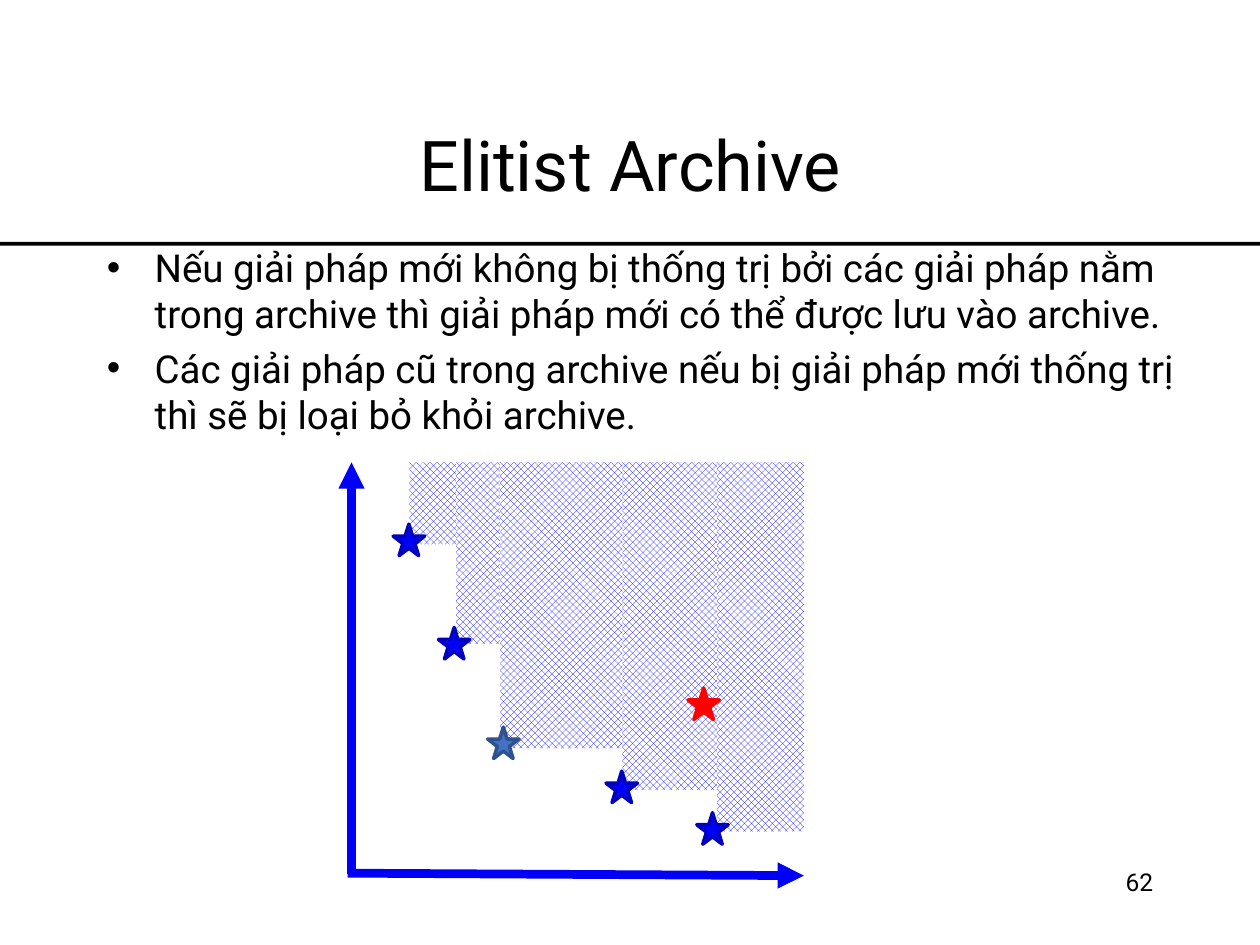
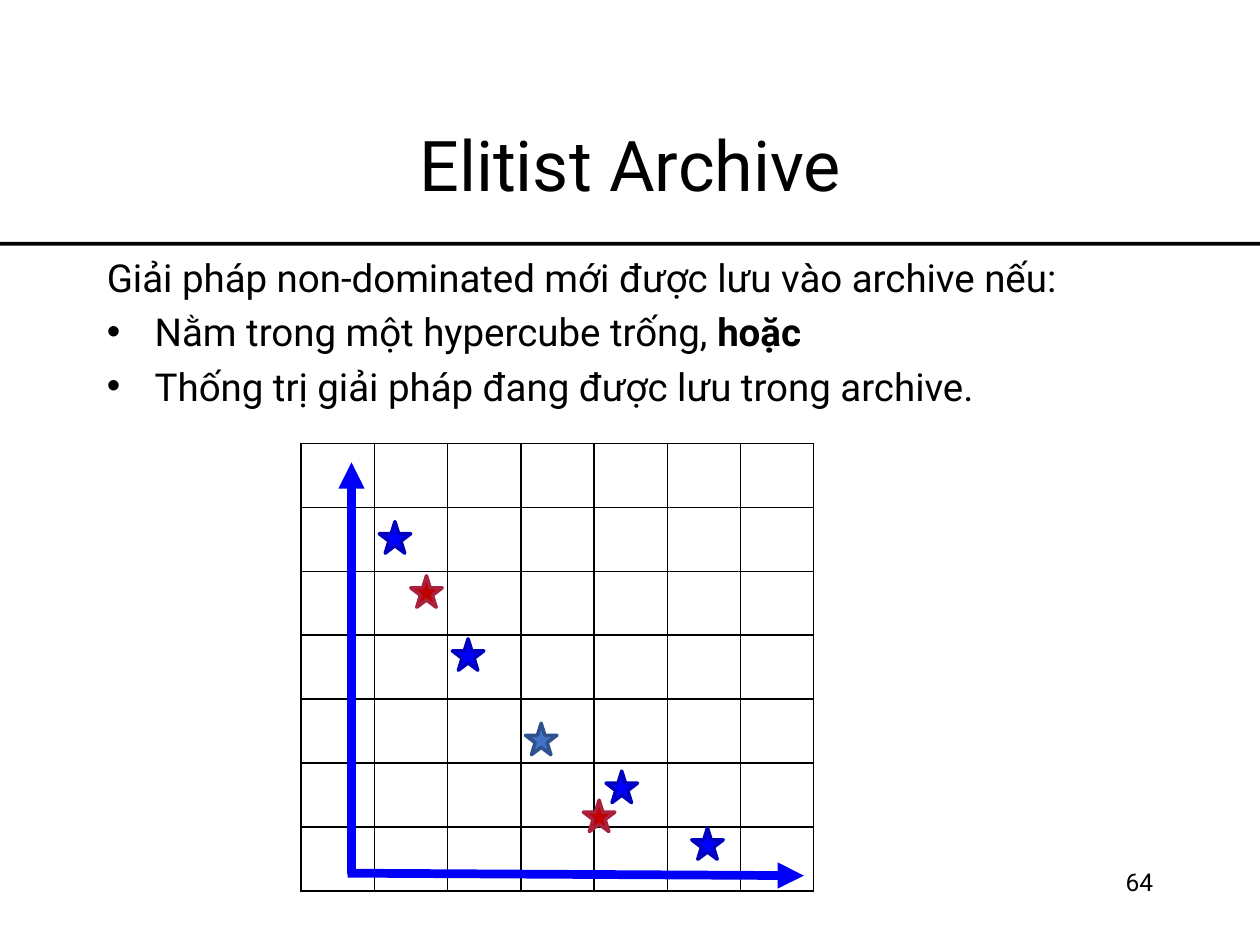
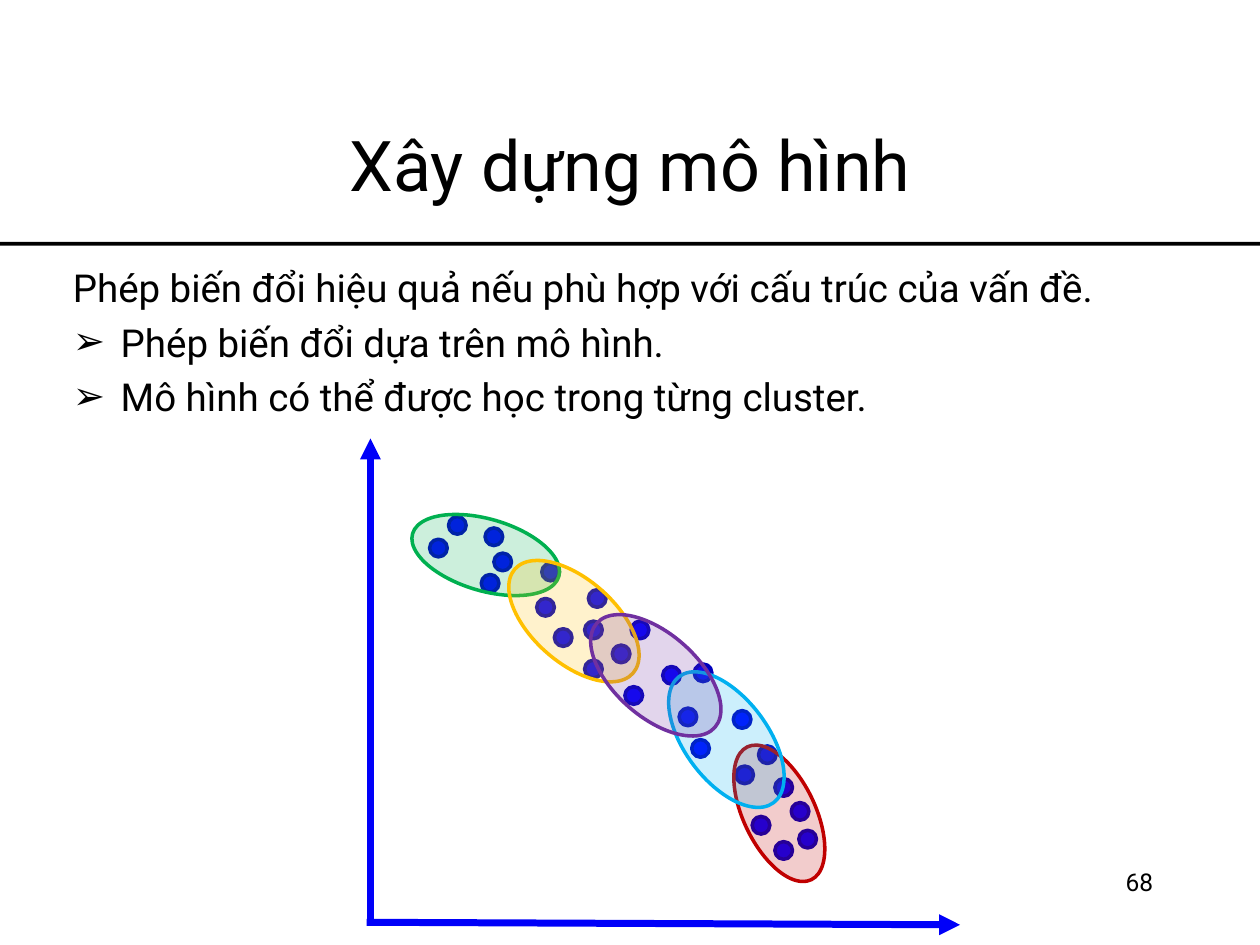
from collections import namedtuple

from lxml.etree import SubElement
from pptx import Presentation
from pptx.dml.color import RGBColor
from pptx.enum.dml import MSO_PATTERN
from pptx.enum.shapes import MSO_CONNECTOR, MSO_SHAPE
from pptx.enum.text import MSO_ANCHOR, PP_ALIGN
from pptx.oxml.ns import qn
from pptx.util import Inches, Pt

FONT = "Roboto"
BLACK = RGBColor(0x00, 0x00, 0x00)
WHITE = RGBColor(0xFF, 0xFF, 0xFF)
AXIS_BLUE = RGBColor(0x00, 0x00, 0xF9)
BLUE = RGBColor(0x00, 0x00, 0xFF)
DARK_BLUE = RGBColor(0x00, 0x00, 0xBD)
STEEL = RGBColor(0x43, 0x72, 0xC4)
DARK_STEEL = RGBColor(0x2F, 0x52, 0x8F)
RED = RGBColor(0xFF, 0x00, 0x00)
CRIMSON = RGBColor(0xC0, 0x00, 0x00)
DARK_CRIMSON = RGBColor(0xA9, 0x21, 0x3D)
GREEN = RGBColor(0x00, 0xB0, 0x50)
AMBER = RGBColor(0xFF, 0xC0, 0x00)
SKY = RGBColor(0x00, 0xB0, 0xF0)
PURPLE = RGBColor(0x70, 0x30, 0xA0)

KNOWN = (BLUE, DARK_BLUE)
NEIGHBOUR = (STEEL, DARK_STEEL)
DOMINATED = (RED, RED)
CANDIDATE = (CRIMSON, DARK_CRIMSON)

Box = namedtuple("Box", "left top width height")
TITLE_BOX = Box(0.75, 0.67, 8.5, 1.25)
RULE_BOX = Box(0, 1.92, 10, 0.03)
NUMBER_BOX = Box(7.17, 6.83, 2.08, 0.5)
ARCHIVE_PLOT = Box(2.79, 3.67, 3.59, 3.27)
CLUSTER_PLOT = Box(2.94, 3.48, 4.68, 3.85)

STAR_SIZE = 0.25
DOT_SIZE = 0.14
GRID_COUNT = 7
INDENT = 0.38

DOMINATED_STEPS = [(0.46, 0.65), (0.83, 1.44), (1.18, 2.27), (2.15, 2.6), (2.9, 2.93)]
FRONT_STARS = [
    (0.33, 0.49, KNOWN), (0.69, 1.31, KNOWN), (2.74, 2.78, KNOWN),
    (2.02, 2.45, KNOWN), (1.08, 2.1, NEIGHBOUR), (2.67, 1.79, DOMINATED),
]
HYPERCUBE_STARS = [
    (0.22, 0.47, KNOWN), (0.8, 1.4, KNOWN), (2.7, 2.9, KNOWN), (2.02, 2.45, KNOWN),
    (1.38, 2.07, NEIGHBOUR), (0.47, 0.9, CANDIDATE), (1.84, 2.68, CANDIDATE),
]
SOLUTION_DOTS = [
    (0.62, 0.62), (0.88, 1.08), (0.47, 0.8), (0.91, 0.71), (3.34, 2.89), (0.98, 0.91),
    (1.7, 1.45), (1.46, 1.51), (1.7, 1.76), (1.32, 1.27), (1.36, 0.99), (1.92, 1.64),
    (2.02, 1.97), (2.45, 2.14), (2.55, 2.39), (2.9, 2.6), (3.21, 2.7), (3.4, 3.11),
    (3.21, 3.2), (2.32, 1.81), (2.07, 1.45), (2.57, 1.79), (2.88, 2.16), (3.03, 3),
    (3.08, 2.44), (1.73, 1.2),
]
CLUSTERS = [
    (Box(0.31, 0.64, 1.21, 0.57), 16.3, GREEN),
    (Box(2.66, 2.69, 1.17, 0.57), 64.3, CRIMSON),
    (Box(0.99, 1.12, 1.25, 0.66), 41.4, AMBER),
    (Box(2.2, 2.06, 1.25, 0.66), 53.2, SKY),
    (Box(1.64, 1.55, 1.25, 0.66), 41.4, PURPLE),
]


def to_inches(box):
    return [Inches(value) for value in box]


def within(plot, left, top, width, height):
    return Box(plot.left + left, plot.top + top, width, height)


def add_run(paragraph, text, size, bold=False):
    run = paragraph.add_run()
    run.text = text
    run.font.name = FONT
    run.font.size = Pt(size)
    run.font.bold = bold
    run.font.color.rgb = BLACK


def add_preset(slide, preset, box, fill=None, line=None):
    shape = slide.shapes.add_shape(preset, *to_inches(box))
    shape.shadow.inherit = False
    if fill is not None:
        shape.fill.solid()
        shape.fill.fore_color.rgb = fill
    if line is None:
        shape.line.fill.background()
    else:
        shape.line.color.rgb = line
        shape.line.width = Pt(2)
    return shape


def add_frame(presentation, title, number):
    slide = presentation.slides.add_slide(presentation.slide_layouts[5])
    add_preset(slide, MSO_SHAPE.RECTANGLE, RULE_BOX, BLACK)

    heading = slide.shapes.title
    heading.left, heading.top, heading.width, heading.height = to_inches(TITLE_BOX)
    heading.text_frame.vertical_anchor = MSO_ANCHOR.MIDDLE
    paragraph = heading.text_frame.paragraphs[0]
    paragraph.alignment = PP_ALIGN.CENTER
    add_run(paragraph, title, 40)

    number_box = slide.shapes.add_textbox(*to_inches(NUMBER_BOX))
    number_box.text_frame.word_wrap = True
    paragraph = number_box.text_frame.paragraphs[0]
    paragraph.alignment = PP_ALIGN.RIGHT
    add_run(paragraph, str(number), 14)
    return slide


def add_body(slide, box, lines):
    frame = slide.shapes.add_textbox(*to_inches(box)).text_frame
    frame.word_wrap = True
    for index, (bullet, runs) in enumerate(lines):
        paragraph = frame.add_paragraph() if index else frame.paragraphs[0]
        if index:
            paragraph.space_before = Pt(4.5)
        if bullet:
            properties = paragraph._p.get_or_add_pPr()
            properties.set("marL", str(Inches(INDENT)))
            properties.set("indent", str(-Inches(INDENT)))
            SubElement(properties, qn("a:buFont"), typeface="Arial")
            SubElement(properties, qn("a:buChar"), char=bullet)
        for text, bold in runs:
            add_run(paragraph, text, 22, bold)


def add_arrow(slide, start, end, width):
    ends = [Inches(value) for value in (*start, *end)]
    arrow = slide.shapes.add_connector(MSO_CONNECTOR.STRAIGHT, *ends)
    arrow.line.color.rgb = AXIS_BLUE
    arrow.line.width = Pt(width)
    properties = arrow._element.spPr
    SubElement(properties.find(qn("a:ln")), qn("a:tailEnd"), type="triangle")
    SubElement(properties, qn("a:effectLst"))


def add_axes(slide, plot, width):
    right = plot.left + plot.width
    bottom = plot.top + plot.height
    add_arrow(slide, (plot.left, bottom), (plot.left, plot.top), width)
    add_arrow(slide, (plot.left - 0.03, bottom - 0.01), (right, bottom + 0.01), width)


def add_dominated_region(slide, plot):
    for left, height in DOMINATED_STEPS:
        box = within(plot, left, 0, plot.width - left, height)
        region = add_preset(slide, MSO_SHAPE.RECTANGLE, box)
        region.fill.patterned()
        region.fill.pattern = MSO_PATTERN.SOLID_DIAMOND
        region.fill.fore_color.rgb = BLUE
        region.fill.back_color.rgb = WHITE


def add_stars(slide, plot, stars):
    for left, top, (fill, line) in stars:
        box = within(plot, left, top, STAR_SIZE, STAR_SIZE)
        add_preset(slide, MSO_SHAPE.STAR_5_POINT, box, fill, line)


def border_cell(cell):
    cell.fill.background()
    properties = cell._tc.get_or_add_tcPr()
    for position, side in enumerate(("lnL", "lnR", "lnT", "lnB")):
        border = SubElement(properties, qn(f"a:{side}"), w=str(Pt(1)))
        fill = SubElement(border, qn("a:solidFill"))
        SubElement(fill, qn("a:srgbClr"), val=str(BLACK))
        properties.insert(position, border)


def add_hypercubes(slide, plot):
    box = within(plot, -0.4, -0.15, 4.07, 3.55)
    table = slide.shapes.add_table(GRID_COUNT, GRID_COUNT, *to_inches(box)).table
    table.first_row = False
    table.horz_banding = False
    for column in table.columns:
        column.width = Inches(box.width / GRID_COUNT)
    for row in table.rows:
        row.height = Inches(box.height / GRID_COUNT)
    for cell in table.iter_cells():
        border_cell(cell)


def add_clusters(slide, plot):
    for left, top in SOLUTION_DOTS:
        box = within(plot, left, top, DOT_SIZE, DOT_SIZE)
        add_preset(slide, MSO_SHAPE.OVAL, box, BLUE, DARK_BLUE)
    for box, angle, color in CLUSTERS:
        cluster = add_preset(slide, MSO_SHAPE.OVAL, within(plot, *box), color, color)
        cluster.rotation = angle
        fill_color = cluster._element.spPr.find(qn("a:solidFill"))[0]
        SubElement(fill_color, qn("a:alpha"), val="20000")


def build_dominance_slide(presentation):
    slide = add_frame(presentation, "Elitist Archive", 62)
    add_body(slide, Box(0.75, 1.89, 8.86, 4.5), [
        ("•", [("Nếu giải pháp mới không bị thống trị bởi các giải pháp nằm trong archive "
                "thì giải pháp mới có thể được lưu vào archive.", False)]),
        ("•", [("Các giải pháp cũ trong archive nếu bị giải pháp mới thống trị "
                "thì sẽ bị loại bỏ khỏi archive.", False)]),
    ])
    add_axes(slide, ARCHIVE_PLOT, 5)
    add_dominated_region(slide, ARCHIVE_PLOT)
    add_stars(slide, ARCHIVE_PLOT, FRONT_STARS)


def build_hypercube_slide(presentation):
    slide = add_frame(presentation, "Elitist Archive", 64)
    add_body(slide, Box(0.75, 1.97, 8.86, 4.5), [
        (None, [("Giải pháp non-dominated mới được lưu vào archive nếu:", False)]),
        ("•", [("Nằm trong một hypercube trống, ", False), ("hoặc", True)]),
        ("•", [("Thống trị giải pháp đang được lưu trong archive.", False)]),
    ])
    add_hypercubes(slide, ARCHIVE_PLOT)
    add_axes(slide, ARCHIVE_PLOT, 5)
    add_stars(slide, ARCHIVE_PLOT, HYPERCUBE_STARS)


def build_cluster_slide(presentation):
    slide = add_frame(presentation, "Xây dựng mô hình", 68)
    add_body(slide, Box(0.48, 2.05, 9.32, 4.5), [
        (None, [("Phép biến đổi hiệu quả nếu phù hợp với cấu trúc của vấn đề.", False)]),
        ("➢", [("Phép biến đổi dựa trên mô hình.", False)]),
        ("➢", [("Mô hình có thể được học trong từng cluster.", False)]),
    ])
    add_axes(slide, CLUSTER_PLOT, 4)
    add_clusters(slide, CLUSTER_PLOT)


def main():
    presentation = Presentation()
    presentation.slide_width = Inches(10)
    presentation.slide_height = Inches(7.5)
    build_dominance_slide(presentation)
    build_hypercube_slide(presentation)
    build_cluster_slide(presentation)
    presentation.save("out.pptx")


if __name__ == "__main__":
    main()
